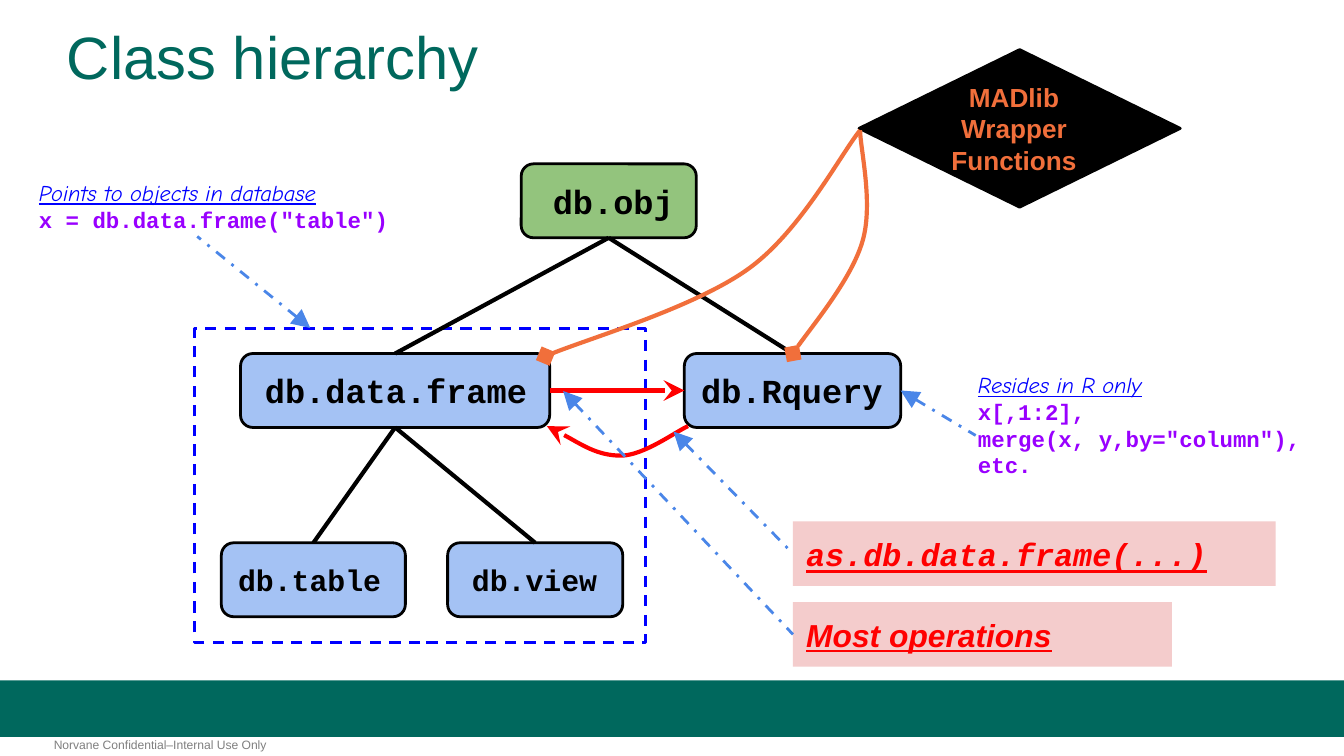
"""Build the class hierarchy slide."""
from lxml import etree
from pptx import Presentation
from pptx.dml.color import RGBColor
from pptx.enum.dml import MSO_LINE
from pptx.enum.shapes import MSO_CONNECTOR, MSO_SHAPE
from pptx.enum.text import MSO_ANCHOR, PP_ALIGN
from pptx.oxml.ns import qn
from pptx.util import Pt

RECT, ROUNDED = MSO_SHAPE.RECTANGLE, MSO_SHAPE.ROUNDED_RECTANGLE
DECISION = MSO_SHAPE.FLOWCHART_DECISION
STRAIGHT = MSO_CONNECTOR.STRAIGHT
DASH, DASH_DOT = MSO_LINE.DASH, MSO_LINE.DASH_DOT
TOP, MIDDLE = MSO_ANCHOR.TOP, MSO_ANCHOR.MIDDLE
LEFT, CENTER = PP_ALIGN.LEFT, PP_ALIGN.CENTER
TOP_SIDE, LEFT_SIDE, BOTTOM_SIDE, RIGHT_SIDE = range(4)

BLACK = RGBColor(0x00, 0x00, 0x00)
TEAL = RGBColor(0x00, 0x68, 0x5D)
GRAY = RGBColor(0x7F, 0x7F, 0x7F)
GREEN = RGBColor(0x93, 0xC4, 0x7D)
PALE_BLUE = RGBColor(0xA4, 0xC2, 0xF4)
BLUE = RGBColor(0x00, 0x00, 0xFF)
ARROW_BLUE = RGBColor(0x4A, 0x86, 0xE8)
RED = RGBColor(0xFF, 0x00, 0x00)
PINK = RGBColor(0xF4, 0xCC, 0xCC)
PURPLE = RGBColor(0x99, 0x00, 0xFF)
ORANGE = RGBColor(0xF1, 0x6F, 0x3B)

SANS, CODE, HAND = "Arial", "Courier New", "Comic Neue"
INSET = 7.2
NODE_HEIGHT = 39.6


class Diagram:
    """Holds the slide and draws its elements in one style."""

    def __init__(self, slide):
        self.shapes = slide.shapes

    def set_text(self, shape, lines, anchor=TOP, align=LEFT, insets=(INSET,) * 4):
        frame = shape.text_frame
        frame.word_wrap = True
        frame.vertical_anchor = anchor
        frame.margin_left, frame.margin_top, frame.margin_right, frame.margin_bottom = map(Pt, insets)
        for index, (text, name, size, color, emphasis) in enumerate(lines):
            paragraph = frame.add_paragraph() if index else frame.paragraphs[0]
            paragraph.text = text
            paragraph.alignment = align
            font = paragraph.font
            font.name, font.size, font.color.rgb = name, Pt(size), color
            font.bold, font.italic, font.underline = ("b" in emphasis, "i" in emphasis,
                                                      "u" in emphasis)

    def text(self, box, lines, **layout):
        label = self.shapes.add_textbox(*map(Pt, box))
        self.set_text(label, lines, **layout)
        return label

    def stroke(self, line, color, width, dash=None):
        line.color.rgb, line.width = color, Pt(width)
        if dash:
            line.dash_style = dash

    def box(self, kind, box, fill=None, outline=None, dash=None):
        shape = self.shapes.add_shape(kind, *map(Pt, box))
        shape.shadow.inherit = False
        if fill is None:
            shape.fill.background()
        else:
            shape.fill.solid()
            shape.fill.fore_color.rgb = fill
        if outline is None:
            shape.line.fill.background()
        else:
            self.stroke(shape.line, outline, 1.5, dash)
        return shape

    def node(self, name, left, top, width, size=18, fill=PALE_BLUE, indent=0):
        shape = self.box(ROUNDED, (left, top, width, NODE_HEIGHT), fill, BLACK)
        self.set_text(shape, [(name, CODE, size, BLACK, "b")], MIDDLE,
                      insets=(INSET + indent, INSET, 0, INSET))
        return shape

    def callout(self, text, font, top, width):
        shape = self.box(RECT, (424.8, top, width, 34.6), PINK)
        self.set_text(shape, [(text, font, 17, RED, "biu")])
        return shape

    def arrowhead(self, shape, end, kind):
        outline = shape.element.spPr.find(qn("a:ln"))
        etree.SubElement(outline, qn("a:" + end), type=kind, w="lg", len="lg")

    def link(self, start, end, color=BLACK, width=2.25, dash=None, head=None, tail=None):
        """Join two ends, each a point (x, y) or a pair (shape, side)."""
        points = [(0, 0) if hasattr(place[0], "shape_id") else place for place in (start, end)]
        connector = self.shapes.add_connector(STRAIGHT, *map(Pt, points[0] + points[1]))
        for place, join in ((start, connector.begin_connect), (end, connector.end_connect)):
            if hasattr(place[0], "shape_id"):
                join(*place)
        self.stroke(connector.line, color, width, dash)
        if head:
            self.arrowhead(connector, "headEnd", head)
        if tail:
            self.arrowhead(connector, "tailEnd", tail)
        etree.SubElement(connector.element.spPr, qn("a:effectLst"))

    def pointer(self, tip, origin):
        self.link(tip, origin, ARROW_BLUE, 1.5, DASH_DOT, head="triangle")

    def curve(self, points, color, tail):
        """Draw a start point followed by Bezier triples."""
        (x, y), *rest = points
        builder = self.shapes.build_freeform(Pt(x), Pt(y))
        builder.add_line_segments([(Pt(x), Pt(y)) for x, y in rest], close=False)
        shape = builder.convert_to_shape()
        shape.shadow.inherit = False
        shape.fill.background()
        self.stroke(shape.line, color, 2.25)
        self.arrowhead(shape, "tailEnd", tail)
        outline = shape.element.find(".//" + qn("a:path"))
        segments = outline.findall(qn("a:lnTo"))
        for first in range(0, len(segments), 3):
            bezier = etree.SubElement(outline, qn("a:cubicBezTo"))
            for segment in segments[first:first + 3]:
                bezier.append(segment[0])
                outline.remove(segment)


def main():
    deck = Presentation()
    deck.slide_width, deck.slide_height = Pt(720), Pt(405)
    diagram = Diagram(deck.slides.add_slide(deck.slide_layouts[6]))

    diagram.box(RECT, (0, 364.5, 720, 30.3), TEAL)
    diagram.text((28.8, 395.3, 179.3, 8), insets=(0,) * 4,
                 lines=[("Norvane Confidential–Internal Use Only", SANS, 6.5, GRAY, "")])
    diagram.box(RECT, (104.4, 176.1, 241.4, 168.2), outline=BLUE, dash=DASH)
    title = diagram.text((28.8, 7.9, 662.4, 36), [("Class hierarchy", SANS, 32, TEAL, "")])
    title.text_frame.paragraphs[0].line_spacing = 0.9

    base = diagram.node("db.obj", 279.2, 87.8, 93.8, fill=GREEN, indent=7.8)
    data_frame = diagram.node("db.data.frame", 128.9, 189.4, 165.6, indent=3.9)
    query = diagram.node("db.Rquery", 366.6, 189.4, 115.9)
    table = diagram.node("db.table", 118.6, 290.8, 98.6, size=16)
    view = diagram.node("db.view", 239.8, 290.8, 93.8, size=16, indent=3.9)
    for parent, child in ((base, data_frame), (base, query), (data_frame, table), (data_frame, view)):
        diagram.link((parent, BOTTOM_SIDE), (child, TOP_SIDE))

    diagram.link((data_frame, RIGHT_SIDE), (query, LEFT_SIDE), RED, tail="stealth")
    diagram.curve([(368.6, 228.3), (362.2, 231.1), (344.9, 244.1), (332.6, 244.1),
                   (319.7, 244.1), (299.5, 231.1), (293, 228.3)], RED, "stealth")

    conversion = diagram.callout("as.db.data.frame(...)", CODE, 279.3, 258.6)
    operations = diagram.callout("Most operations", SANS, 322.6, 203)
    diagram.pointer((360.8, 231.2), (conversion, LEFT_SIDE))
    diagram.pointer((301.7, 209.5), (operations, LEFT_SIDE))

    diagram.pointer((166.2, 175.7), (105.7, 126.7))
    diagram.text((13.7, 88.6, 215.3, 44.6), [
        ("Points to objects in database", HAND, 12, BLUE, "iu"),
        ('x = db.data.frame("table")', CODE, 12, PURPLE, "b")])
    diagram.pointer((query, RIGHT_SIDE), (522.7, 233.3))
    diagram.text((516.8, 191.5, 197.3, 58.3), [
        ("Resides in R only", HAND, 12, BLUE, "iu"),
        ("x[,1:2],", CODE, 12, PURPLE, "b"),
        ('merge(x, y,by="column"), etc.', CODE, 12, PURPLE, "b")])

    wrappers = diagram.box(DECISION, (460.2, 26.6, 172.1, 84.4), BLACK, BLACK)
    diagram.set_text(wrappers, [(word, SANS, 14, ORANGE, "b")
                                for word in ("MADlib", "Wrapper", "Functions")],
                     MIDDLE, CENTER, (3.2, INSET, 9.2, INSET))
    diagram.curve([(460.8, 69.8), (460.8, 79.2), (468, 108.7), (462.2, 128.9),
                   (456.5, 149), (431.3, 179.3), (424.8, 189.4)], ORANGE, "diamond")
    diagram.curve([(460.8, 69.8), (450.7, 82.1), (429.1, 123.8), (401, 144),
                   (373, 164.2), (310.3, 182.9), (292.3, 190.8)], ORANGE, "diamond")

    deck.save("out.pptx")


if __name__ == "__main__":
    main()
